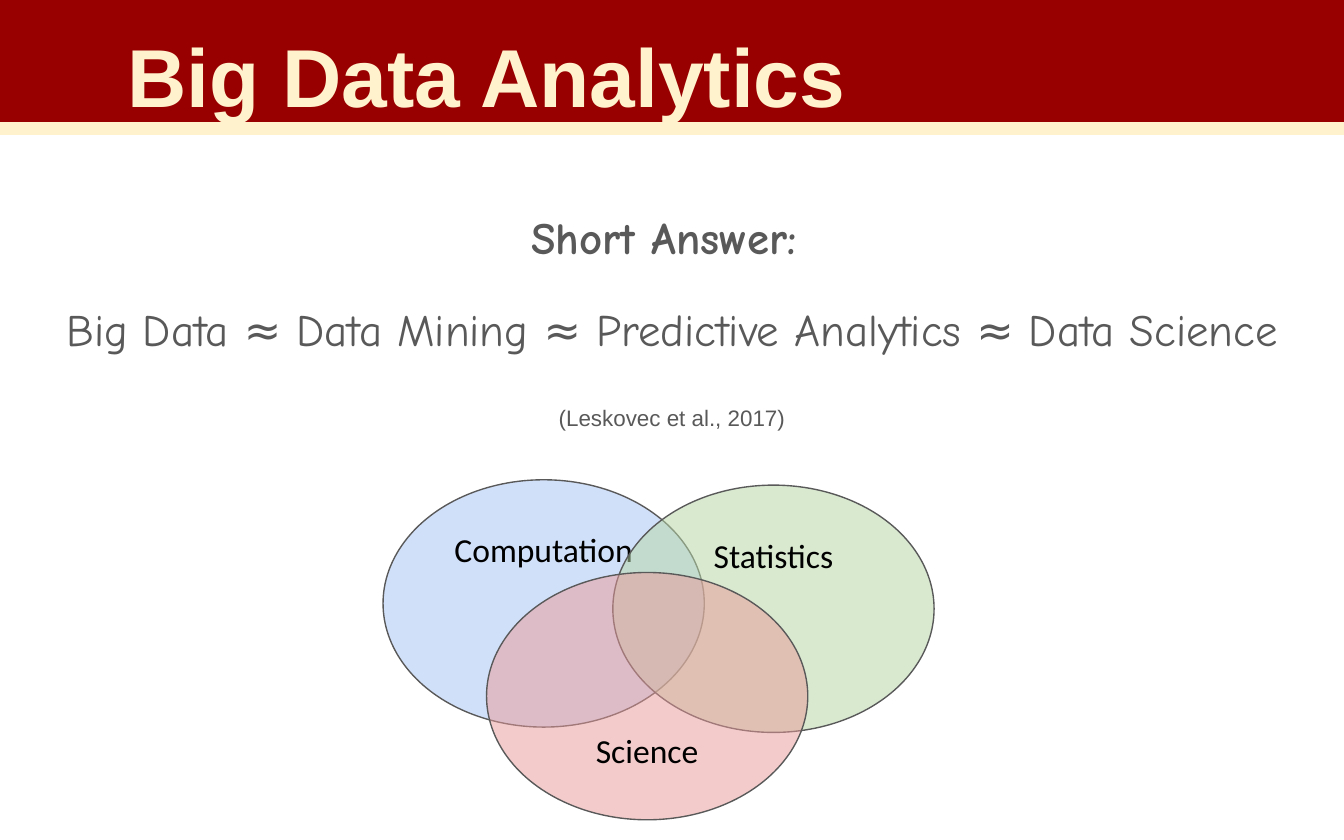
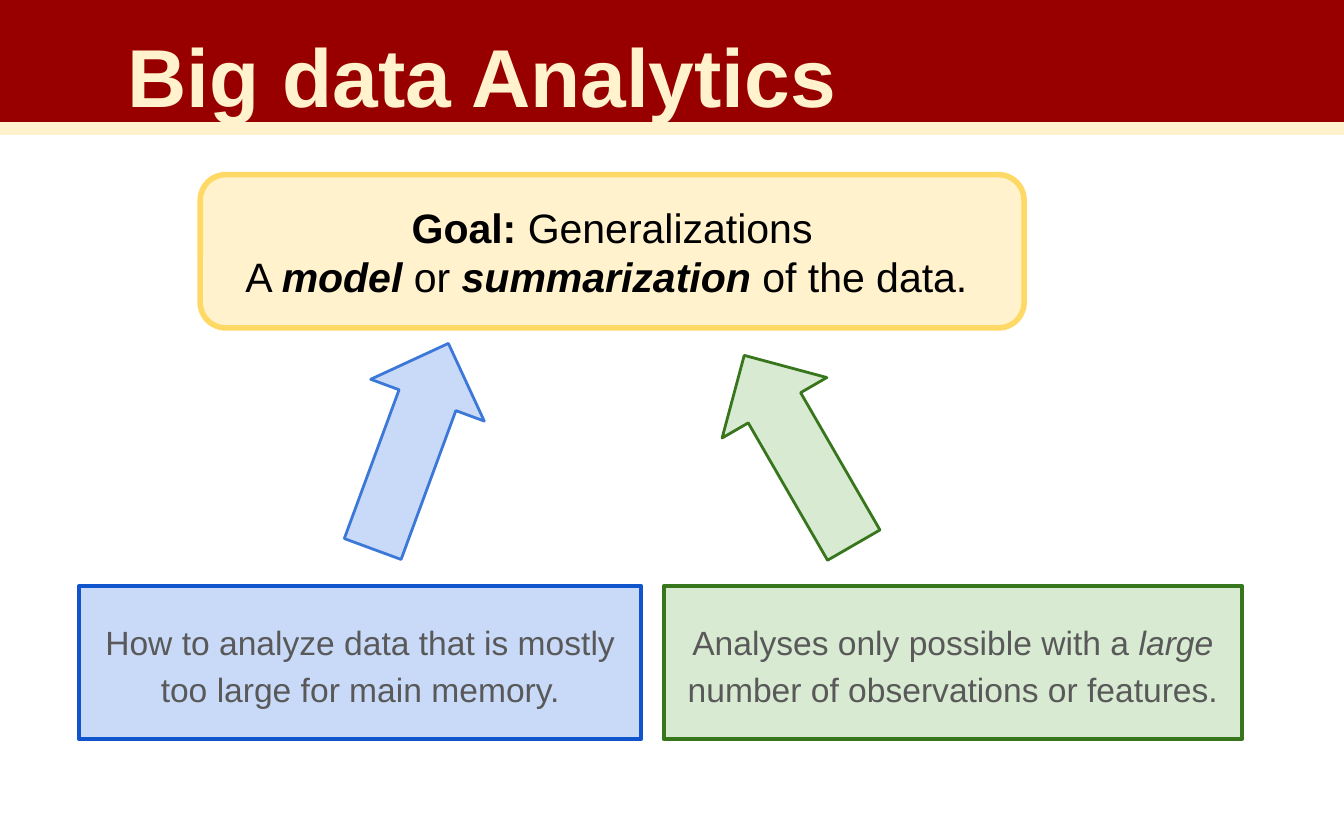
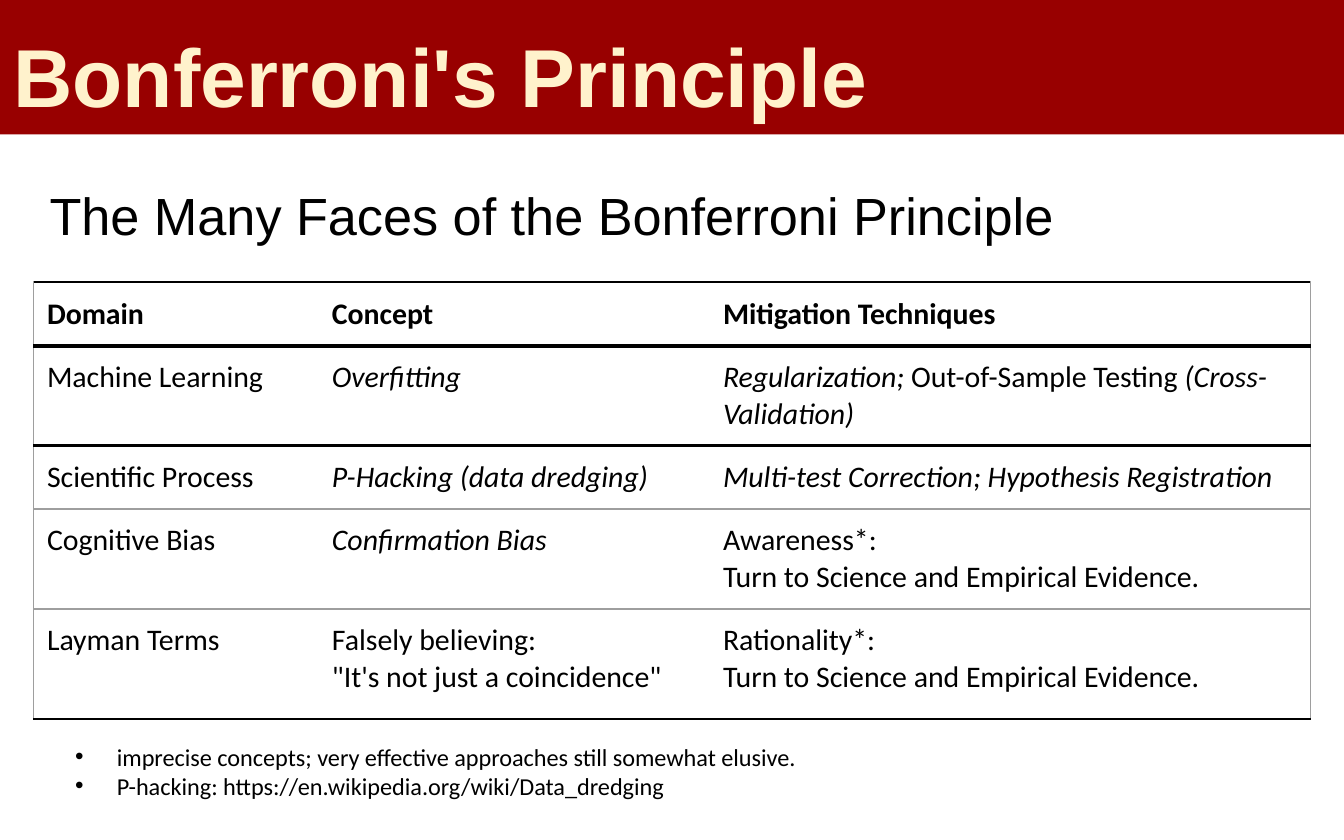
from lxml.etree import SubElement
from pptx import Presentation
from pptx.dml.color import RGBColor
from pptx.enum.shapes import MSO_SHAPE
from pptx.enum.text import MSO_ANCHOR, MSO_AUTO_SIZE, PP_ALIGN
from pptx.oxml.ns import qn
from pptx.util import Inches, Pt

# Shared colours
DARK_RED = RGBColor(0x98, 0x00, 0x00)
CREAM = RGBColor(0xFF, 0xF2, 0xCC)
GOLD = RGBColor(0xFF, 0xD9, 0x66)
BLACK = RGBColor(0x00, 0x00, 0x00)
DARK_GRAY = RGBColor(0x59, 0x59, 0x59)
RULE_GRAY = RGBColor(0x9E, 0x9E, 0x9E)
VENN_BLUE = RGBColor(0xA4, 0xC2, 0xF4)
VENN_GREEN = RGBColor(0xB6, 0xD7, 0xA8)
VENN_RED = RGBColor(0xEA, 0x99, 0x99)
PALE_BLUE = RGBColor(0xC9, 0xDA, 0xF8)
PALE_GREEN = RGBColor(0xD9, 0xEA, 0xD3)
ARROW_BLUE = RGBColor(0x3C, 0x78, 0xD8)
BOX_BLUE = RGBColor(0x11, 0x55, 0xCC)
DEEP_GREEN = RGBColor(0x38, 0x76, 0x1D)

# Text formats
BAND_TEXT = {"name": "Arial", "size": Pt(44), "bold": True, "color": CREAM}
SUBHEADING = {"name": "Arial", "size": Pt(28), "bold": False, "color": BLACK}
ANSWER = {"name": "Comic Neue", "size": Pt(24), "bold": False, "color": DARK_GRAY}
CITATION = {"name": "Arial", "size": Pt(12), "color": DARK_GRAY}
VENN_LABEL = {"name": "Calibri", "size": Pt(18), "color": BLACK}
GOAL = {"name": "Arial", "size": Pt(22), "color": BLACK}
BOX_TEXT = {"name": "Arial", "size": Pt(18), "color": DARK_GRAY}
CELL_TEXT = {"name": "Calibri", "size": Pt(16), "bold": False, "color": BLACK}
NOTE = {"name": "Calibri", "size": Pt(13), "color": BLACK}
BOLD = {"bold": True}
ITALIC = {"italic": True}


def apply_format(font, values):
    for name, value in values.items():
        if name == "color":
            font.color.rgb = value
        else:
            setattr(font, name, value)


def set_bullet(paragraph, character=None, indent=0):
    properties = paragraph._p.get_or_add_pPr()
    properties.set("marL", str(Inches(indent)))
    properties.set("indent", str(-Inches(indent)))
    if character:
        SubElement(properties, qn("a:buChar")).set("char", character)
    else:
        SubElement(properties, qn("a:buNone"))


def write_paragraph(paragraph, runs, text_format, align=PP_ALIGN.LEFT,
                    spacing=1.0, before=0):
    """Fill a paragraph from a string or a list of (text, extra format) runs."""
    paragraph.alignment = align
    paragraph.line_spacing = spacing
    paragraph.space_before = Pt(before)
    for text, extra in [(runs, {})] if isinstance(runs, str) else runs:
        run = paragraph.add_run()
        run.text = text
        apply_format(run.font, {**text_format, **extra})


def prepare_frame(shape, anchor=MSO_ANCHOR.TOP):
    frame = shape.text_frame
    frame.word_wrap = True
    frame.auto_size = MSO_AUTO_SIZE.NONE
    frame.vertical_anchor = anchor
    for side in ("left", "right", "top", "bottom"):
        setattr(frame, f"margin_{side}", Inches(0.1))
    return frame


def next_paragraph(frame, index):
    return frame.add_paragraph() if index else frame.paragraphs[0]


def write_lines(frame, lines, text_format, **layout):
    for index, runs in enumerate(lines):
        write_paragraph(next_paragraph(frame, index), runs, text_format, **layout)


def place(shape, left, top, width, height):
    shape.left, shape.top = Inches(left), Inches(top)
    shape.width, shape.height = Inches(width), Inches(height)


def add_box(slide, kind, box, fill, line, weight, rotation=0):
    shape = slide.shapes.add_shape(kind, *map(Inches, box))
    shape.shadow.inherit = False
    shape.fill.solid()
    shape.fill.fore_color.rgb = fill
    shape.line.color.rgb = line
    shape.line.width = Pt(weight)
    shape.rotation = rotation
    return shape


def add_title_band(slide, text, indent=0.1, stripe=True):
    title = slide.shapes.title
    place(title, 0, 0, 10, 1)
    title.fill.solid()
    title.fill.fore_color.rgb = DARK_RED
    frame = prepare_frame(title, MSO_ANCHOR.MIDDLE)
    frame.margin_left = Inches(indent)
    write_lines(frame, [text], BAND_TEXT, spacing=1.15)
    if stripe:
        add_box(slide, MSO_SHAPE.RECTANGLE, (0, 0.91, 10, 0.09), CREAM, CREAM, 0.75)


def add_venn_circle(slide, label, left, top, fill, opacity, anchor):
    circle = add_box(slide, MSO_SHAPE.OVAL, (left, top, 2.39, 1.84), fill, DARK_GRAY, 0.75)
    color = circle._element.spPr.find(qn("a:solidFill")).find(qn("a:srgbClr"))
    SubElement(color, qn("a:alpha")).set("val", str(opacity * 1000))
    write_lines(prepare_frame(circle, anchor), [label], VENN_LABEL, align=PP_ALIGN.CENTER)


def set_border(cell, side, color=None, weight=0):
    line = SubElement(cell._tc.get_or_add_tcPr(), qn(f"a:ln{side}"))
    line.set("w", str(Pt(weight)))
    if color is None:
        SubElement(line, qn("a:noFill"))
    else:
        fill = SubElement(line, qn("a:solidFill"))
        SubElement(fill, qn("a:srgbClr")).set("val", str(color))


def add_ruled_table(slide, rows, box, widths, heights, rules):
    """Draw a table with horizontal rules and an outer frame only."""
    table = slide.shapes.add_table(len(rows), len(widths), *map(Inches, box)).table
    table.first_row = table.horz_banding = False
    for column, width in zip(table.columns, widths):
        column.width = Inches(width)
    for row, height in zip(table.rows, heights):
        row.height = Inches(height)
    edge = (RULE_GRAY, 0.75)
    for row_index, row in enumerate(rows):
        for column_index, lines in enumerate(row):
            cell = table.cell(row_index, column_index)
            set_border(cell, "L", *(edge if column_index == 0 else ()))
            set_border(cell, "R", *(edge if column_index == len(widths) - 1 else ()))
            set_border(cell, "T", *rules[row_index])
            set_border(cell, "B", *rules[row_index + 1])
            cell.fill.background()
            for side in ("left", "right", "top", "bottom"):
                setattr(cell, f"margin_{side}", Inches(0.1))
            text_format = CELL_TEXT if row_index else {**CELL_TEXT, **BOLD}
            write_lines(cell.text_frame, lines, text_format)


def build_short_answer(presentation):
    slide = presentation.slides.add_slide(presentation.slide_layouts[1])
    add_title_band(slide, "Big Data Analytics", indent=0.95)

    # Answer and citation
    body = slide.placeholders[1]
    place(body, 0.34, 1.4, 9.32, 3.39)
    frame = prepare_frame(body)
    lines = [
        ([("Short Answer: ", BOLD)], ANSWER, 0),
        ("Big Data ≈ Data Mining ≈ Predictive Analytics ≈ Data Science", ANSWER, 16),
        ("(Leskovec et al., 2017)", CITATION, 24),
    ]
    for index, (runs, text_format, before) in enumerate(lines):
        paragraph = next_paragraph(frame, index)
        set_bullet(paragraph)
        write_paragraph(paragraph, runs, text_format, PP_ALIGN.CENTER, 1.15, before)

    # Venn diagram
    add_venn_circle(slide, "Computation", 2.85, 3.57, VENN_BLUE, 50, MSO_ANCHOR.TOP)
    add_venn_circle(slide, "Statistics", 4.56, 3.61, VENN_GREEN, 53, MSO_ANCHOR.TOP)
    add_venn_circle(slide, "Science", 3.62, 4.26, VENN_RED, 50, MSO_ANCHOR.BOTTOM)


def build_goal(presentation):
    slide = presentation.slides.add_slide(presentation.slide_layouts[5])
    add_title_band(slide, "Big data Analytics", indent=0.95)

    # Goal
    goal = add_box(slide, MSO_SHAPE.ROUNDED_RECTANGLE, (1.49, 1.3, 6.13, 1.14), CREAM, GOLD, 3)
    emphasis = {**BOLD, **ITALIC}
    write_lines(prepare_frame(goal, MSO_ANCHOR.MIDDLE), [
        [("Goal:", BOLD), (" Generalizations", {})],
        [("A ", {}), ("model", emphasis), (" or ", {}),
         ("summarization", emphasis), (" of the data. ", {})],
    ], GOAL, align=PP_ALIGN.CENTER)

    # Arrows towards the goal
    arrow = MSO_SHAPE.RIGHT_ARROW
    add_box(slide, arrow, (2.24, 2.87, 1.63, 0.9), PALE_BLUE, ARROW_BLUE, 1.5, 290.2)
    add_box(slide, arrow, (5.13, 2.9, 1.63, 0.9), PALE_GREEN, DEEP_GREEN, 1.5, 240)

    # Two kinds of question
    questions = [
        (0.59, 4.18, PALE_BLUE, BOX_BLUE,
         "How to analyze data that is mostly too large for main memory."),
        (4.94, 4.3, PALE_GREEN, DEEP_GREEN,
         [("Analyses only possible with a ", {}), ("large", ITALIC),
          (" number of observations or features.", {})]),
    ]
    for left, width, fill, line, runs in questions:
        box = add_box(slide, MSO_SHAPE.RECTANGLE, (left, 4.36, width, 1.14), fill, line, 2.25)
        write_lines(prepare_frame(box, MSO_ANCHOR.MIDDLE), [runs], BOX_TEXT,
                    align=PP_ALIGN.CENTER, spacing=1.15)


def build_bonferroni(presentation):
    slide = presentation.slides.add_slide(presentation.slide_layouts[1])
    add_title_band(slide, "Bonferroni's Principle", stripe=False)

    # Subheading
    subheading = slide.shapes.add_textbox(*map(Inches, (0.27, 1.21, 9.32, 0.77)))
    write_lines(prepare_frame(subheading, MSO_ANCHOR.MIDDLE),
                ["The Many Faces of the Bonferroni Principle"], SUBHEADING)

    # Domains, concepts and mitigation
    evidence = "Turn to Science and Empirical Evidence."
    rows = [
        (["Domain"], ["Concept"], ["Mitigation Techniques"]),
        (["Machine Learning"], [[("Overfitting", ITALIC)]],
         [[("Regularization; ", ITALIC), ("Out-of-Sample Testing", {}),
           (" (Cross-Validation)", ITALIC)]]),
        (["Scientific Process"], [[("P-Hacking (data dredging)", ITALIC)]],
         [[("Multi-test Correction; Hypothesis Registration", ITALIC)]]),
        (["Cognitive Bias"], [[("Confirmation Bias", ITALIC)]], ["Awareness*:", evidence]),
        (["Layman Terms"], ["Falsely believing:", "\"It's not just a coincidence\""],
         ["Rationality*:", evidence]),
    ]
    outer, heavy, light = (BLACK, 1.5), (BLACK, 2.25), (RULE_GRAY, 0.75)
    add_ruled_table(slide, rows, (0.25, 2.1, 9.5, 3.22), (2.12, 2.91, 4.47),
                    (0.47, 0.74, 0.47, 0.74, 0.82),
                    [outer, heavy, heavy, light, light, outer])

    # Notes below the table
    body = slide.placeholders[1]
    place(body, 0.46, 5.42, 8.9, 0.64)
    frame = prepare_frame(body)
    notes = [
        "imprecise concepts; very effective approaches still somewhat elusive.",
        "P-hacking: https://en.wikipedia.org/wiki/Data_dredging",
    ]
    for index, note in enumerate(notes):
        paragraph = next_paragraph(frame, index)
        set_bullet(paragraph, "•", 0.31)
        write_paragraph(paragraph, note, NOTE)


def main():
    presentation = Presentation()
    presentation.slide_width = Inches(10)
    presentation.slide_height = Inches(6.25)
    build_short_answer(presentation)
    build_goal(presentation)
    build_bonferroni(presentation)
    presentation.save("out.pptx")


if __name__ == "__main__":
    main()
